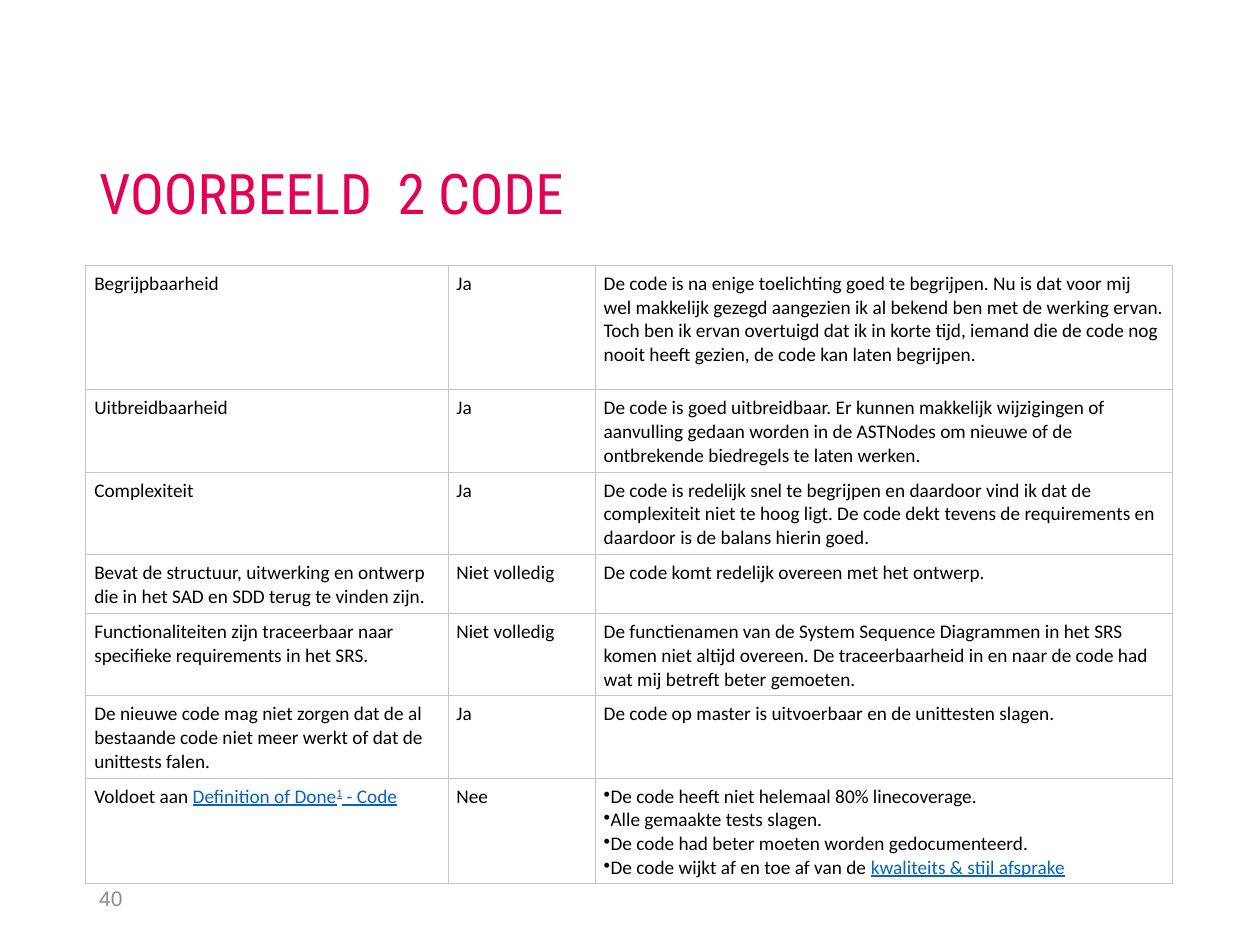
from dataclasses import dataclass

from lxml.etree import SubElement
from pptx import Presentation
from pptx.dml.color import RGBColor
from pptx.enum.text import MSO_ANCHOR
from pptx.oxml.ns import qn
from pptx.util import Cm, Pt


@dataclass(frozen=True)
class Theme:
    title_font: str = "Roboto Condensed"
    body_font: str = "Calibri"
    number_font: str = "Arial"
    title_size: float = 32
    body_size: float = 11
    number_size: float = 12
    title_color: str = "E50056"
    body_color: str = "000000"
    number_color: str = "8C8C8C"
    link_color: str = "0563C1"
    cell_color: str = "FFFFFF"
    border_color: str = "C1C7D0"
    border_width: float = 0.6


def add_run(paragraph, text, *, font, size, color, underline=False, baseline=0):
    """Append formatted text; baseline is a percentage above the line."""
    run = paragraph.add_run()
    run.text = text
    run.font.name = font
    run.font.size = Pt(size)
    run.font.color.rgb = RGBColor.from_string(color)
    if underline:
        run.font.underline = True
    if baseline:
        run.font._element.set("baseline", str(baseline * 1000))


def add_bullet(paragraph):
    properties = paragraph._p.get_or_add_pPr()
    properties.set("marL", "0")
    properties.set("indent", "0")
    SubElement(properties, qn("a:buChar"), char="•")


class SlideBuilder:
    def __init__(self, slide, theme):
        self.slide = slide
        self.theme = theme

    def text(self, text, left, top, width, height, anchor, line_spacing=1.0, **style):
        box = self.slide.shapes.add_textbox(Cm(left), Cm(top), Cm(width), Cm(height))
        frame = box.text_frame
        frame.word_wrap = True
        frame.vertical_anchor = anchor
        paragraph = frame.paragraphs[0]
        paragraph.line_spacing = line_spacing
        add_run(paragraph, text, **style)

    def table(self, rows, left, top, column_widths, row_heights):
        table = self.slide.shapes.add_table(
            len(rows), len(column_widths), Cm(left), Cm(top),
            Cm(sum(column_widths)), Cm(sum(row_heights))).table
        table.first_row = table.horz_banding = False
        for column, width in zip(table.columns, column_widths):
            column.width = Cm(width)
        for row, height, contents in zip(table.rows, row_heights, rows):
            row.height = Cm(height)
            for cell, content in zip(row.cells, contents):
                self.cell(cell, content)

    def cell(self, cell, content):
        """Fill a cell with a text, or with a list of bulleted or plain paragraphs."""
        cell.margin_left = cell.margin_right = Cm(0.17)
        cell.margin_top = cell.margin_bottom = Cm(0.13)
        self.borders(cell)
        cell.fill.solid()
        cell.fill.fore_color.rgb = RGBColor.from_string(self.theme.cell_color)
        paragraphs = content if isinstance(content, list) else [content]
        for index, runs in enumerate(paragraphs):
            frame = cell.text_frame
            paragraph = frame.add_paragraph() if index else frame.paragraphs[0]
            if len(paragraphs) > 1:
                add_bullet(paragraph)
            for run in (runs if isinstance(runs, tuple) else (runs,)):
                text, changes = (run, {}) if isinstance(run, str) else run.values()
                style = dict(font=self.theme.body_font, size=self.theme.body_size,
                             color=self.theme.body_color)
                add_run(paragraph, text, **(style | changes))

    def borders(self, cell):
        properties = cell._tc.get_or_add_tcPr()
        for side in ("lnL", "lnR", "lnT", "lnB"):
            line = SubElement(properties, qn(f"a:{side}"),
                              w=str(Pt(self.theme.border_width)))
            fill = SubElement(line, qn("a:solidFill"))
            SubElement(fill, qn("a:srgbClr"), val=self.theme.border_color)


THEME = Theme()


def link(text, baseline=0):
    """Describe a run that looks like a link."""
    return {"text": text, "changes": dict(
        color=THEME.link_color, underline=True, baseline=baseline)}


REVIEW = [
    ("Begrijpbaarheid", "Ja",
     "De code is na enige toelichting goed te begrijpen. Nu is dat voor mij wel "
     "makkelijk gezegd aangezien ik al bekend ben met de werking ervan. Toch ben ik "
     "ervan overtuigd dat ik in korte tijd, iemand die de code nog nooit heeft gezien, "
     "de code kan laten begrijpen."),
    ("Uitbreidbaarheid", "Ja",
     "De code is goed uitbreidbaar. Er kunnen makkelijk wijzigingen of aanvulling "
     "gedaan worden in de ASTNodes om nieuwe of de ontbrekende biedregels te laten "
     "werken."),
    ("Complexiteit", "Ja",
     "De code is redelijk snel te begrijpen en daardoor vind ik dat de complexiteit "
     "niet te hoog ligt. De code dekt tevens de requirements en daardoor is de balans "
     "hierin goed."),
    ("Bevat de structuur, uitwerking en ontwerp die in het SAD en SDD terug te vinden "
     "zijn.", "Niet volledig",
     "De code komt redelijk overeen met het ontwerp."),
    ("Functionaliteiten zijn traceerbaar naar specifieke requirements in het SRS.",
     "Niet volledig",
     "De functienamen van de System Sequence Diagrammen in het SRS komen niet altijd "
     "overeen. De traceerbaarheid in en naar de code had wat mij betreft beter "
     "gemoeten."),
    ("De nieuwe code mag niet zorgen dat de al bestaande code niet meer werkt of dat "
     "de unittests falen.", "Ja",
     "De code op master is uitvoerbaar en de unittesten slagen."),
    (("Voldoet aan ", link("Definition of Done"), link("1", baseline=30),
      link(" - Code")), "Nee",
     ["De code heeft niet helemaal 80% linecoverage.",
      "Alle gemaakte tests slagen.",
      "De code had beter moeten worden gedocumenteerd.",
      ("De code wijkt af en toe af van de ", link("kwaliteits & stijl afsprake"))]),
]


def main():
    presentation = Presentation()
    presentation.slide_width, presentation.slide_height = Cm(25.4), Cm(19.05)
    slide = presentation.slides.add_slide(presentation.slide_layouts[6])
    builder = SlideBuilder(slide, THEME)
    builder.text("VOORBEELD  2 CODE", 1.75, 1.02, 21.9, 3.68, MSO_ANCHOR.BOTTOM,
                 line_spacing=0.9, font=THEME.title_font, size=THEME.title_size,
                 color=THEME.title_color)
    builder.text("40", 1.75, 17.6, 5.72, 1.02, MSO_ANCHOR.MIDDLE,
                 font=THEME.number_font, size=THEME.number_size,
                 color=THEME.number_color)
    builder.table(REVIEW, 1.73, 5.35, column_widths=(7.3, 2.97, 11.63),
                  row_heights=(2.51, 1.63, 1.63, 1.19, 1.63, 1.19, 2.06))
    presentation.save("out.pptx")


if __name__ == "__main__":
    main()
